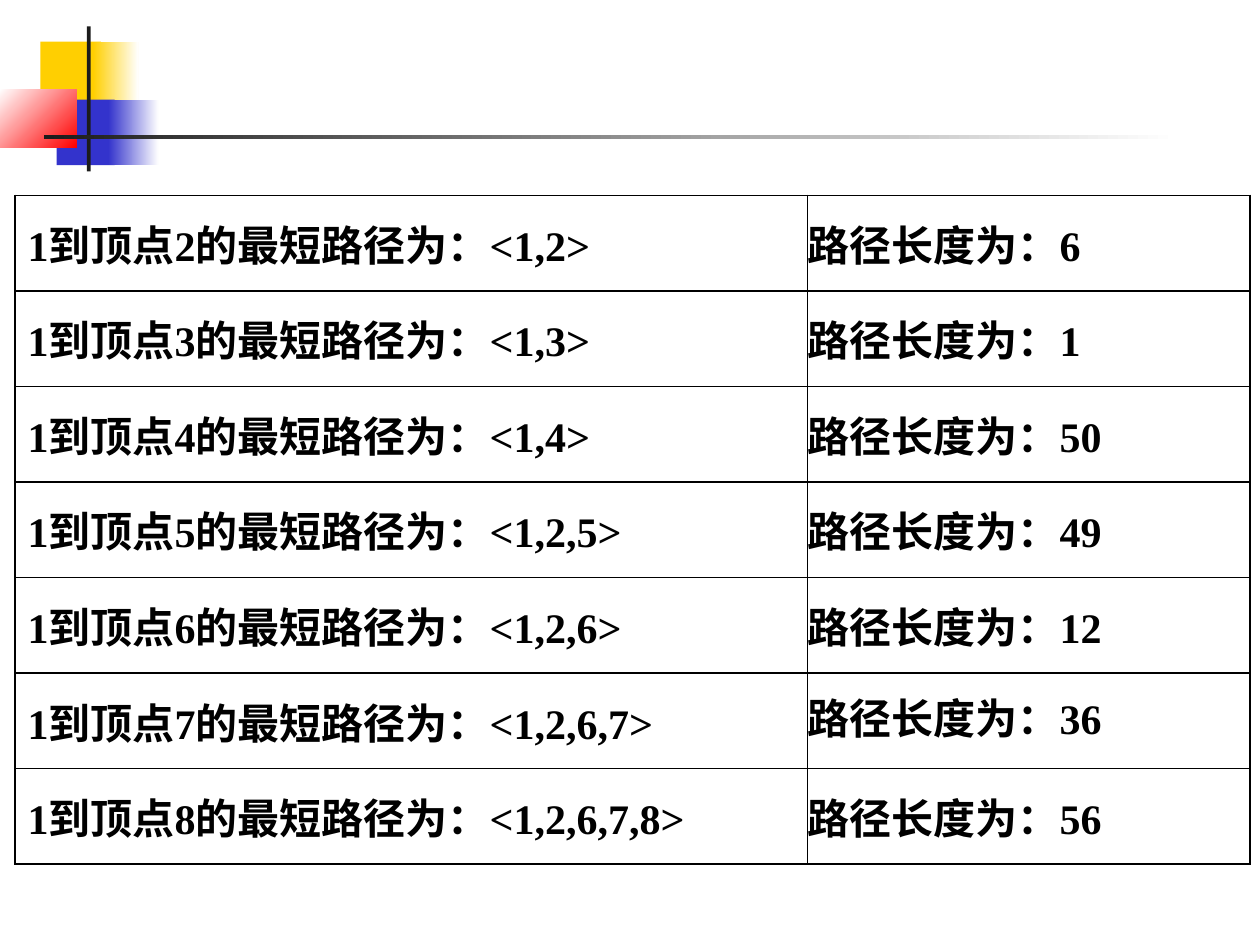
from dataclasses import dataclass
from lxml.etree import SubElement
from pptx import Presentation
from pptx.dml.color import RGBColor
from pptx.enum.shapes import MSO_SHAPE
from pptx.enum.text import MSO_ANCHOR
from pptx.oxml.ns import qn
from pptx.util import Inches, Pt


@dataclass
class Theme:
    gold: str = "FFCF01"
    blue: str = "3333CC"
    red: str = "FF0000"
    dark: str = "1C1C1C"
    white: str = "FFFFFF"
    black: str = "000000"
    font: str = "Times New Roman"
    size: int = 24
    rule: int = 1


class Deck:
    def __init__(self, theme, wide, high):
        self.theme = theme
        self.file = Presentation()
        self.file.slide_width = Inches(wide)
        self.file.slide_height = Inches(high)
        self.slide = self.file.slides.add_slide(self.file.slide_layouts[6])
        self.unit = self.file.slide_width / 100

    def span(self, *cells):
        return [round(cell * self.unit) for cell in cells]

    def block(self, place, first, last=None, angle=0):
        shape = self.slide.shapes.add_shape(MSO_SHAPE.RECTANGLE, *self.span(*place))
        shape.shadow.inherit = False
        shape.line.fill.background()
        if last is None:
            shape.fill.solid()
            shape.fill.fore_color.rgb = RGBColor.from_string(first)
            return
        shape.fill.gradient()
        shape.fill.gradient_angle = angle
        for stop, tint in zip(shape.fill.gradient_stops, (first, last)):
            stop.color.rgb = RGBColor.from_string(tint)

    def edge(self, cell):
        props = cell._tc.get_or_add_tcPr()
        for side in ("a:lnL", "a:lnR", "a:lnT", "a:lnB"):
            line = SubElement(props, qn(side), w=str(Pt(self.theme.rule)))
            fill = SubElement(line, qn("a:solidFill"))
            SubElement(fill, qn("a:srgbClr"), val=self.theme.black)

    def label(self, cell, text, inset, space):
        cell.margin_left = cell.margin_right = Inches(inset)
        cell.margin_top = cell.margin_bottom = Inches(inset / 2)
        cell.vertical_anchor = MSO_ANCHOR.MIDDLE
        self.edge(cell)
        cell.fill.background()
        para = cell.text_frame.paragraphs[0]
        para.line_spacing = space
        run = para.add_run()
        run.text = text
        font = run.font
        font.name = self.theme.font
        font.size = Pt(self.theme.size)
        font.bold = True
        font.color.rgb = RGBColor.from_string(self.theme.black)

    def table(self, place, widths, rows):
        frame = self.slide.shapes.add_table(len(rows), len(widths), *self.span(*place))
        grid = frame.table
        grid.first_row = grid.horz_banding = False
        for col, width in zip(grid.columns, self.span(*widths)):
            col.width = width
        for row, texts in zip(grid.rows, rows):
            for cell, (text, inset, space) in zip(row.cells, texts):
                self.label(cell, text, inset, space)

    def save(self):
        self.file.save("out.pptx")


theme = Theme()
deck = Deck(theme, 10, 7.5)

deck.block((3.2, 3.3, 4.8, 5.2), theme.gold)
deck.block((7.4, 3.3, 3.6, 5.2), theme.gold, theme.white)
deck.block((4.5, 7.9, 4.6, 5.2), theme.blue)
deck.block((8.6, 7.9, 4, 5.2), theme.blue, theme.white)
deck.block((0, 7.1, 6.1, 4.6), theme.white, theme.red, 315)
deck.block((6.9, 2.1, 0.3, 11.5), theme.dark)
deck.block((3.5, 10.7, 90, 0.3), theme.dark, theme.white)

routes = [
    ("1,2", 6, 1),
    ("1,3", 1, 1),
    ("1,4", 50, 1),
    ("1,2,5", 49, 1),
    ("1,2,6", 12, 1),
    ("1,2,6,7", 36, 0.75),
    ("1,2,6,7,8", 56, 1),
]
rows = [
    [
        (f"1到顶点{goal}的最短路径为\uff1a<{route}>", 0.1, 1),
        (f"路径长度为\uff1a{cost}", 0, space),
    ]
    for goal, (route, cost, space) in enumerate(routes, 2)
]
deck.table((1.2, 15.5, 98, 53.1), (62.9, 35.1), rows)
deck.save()
